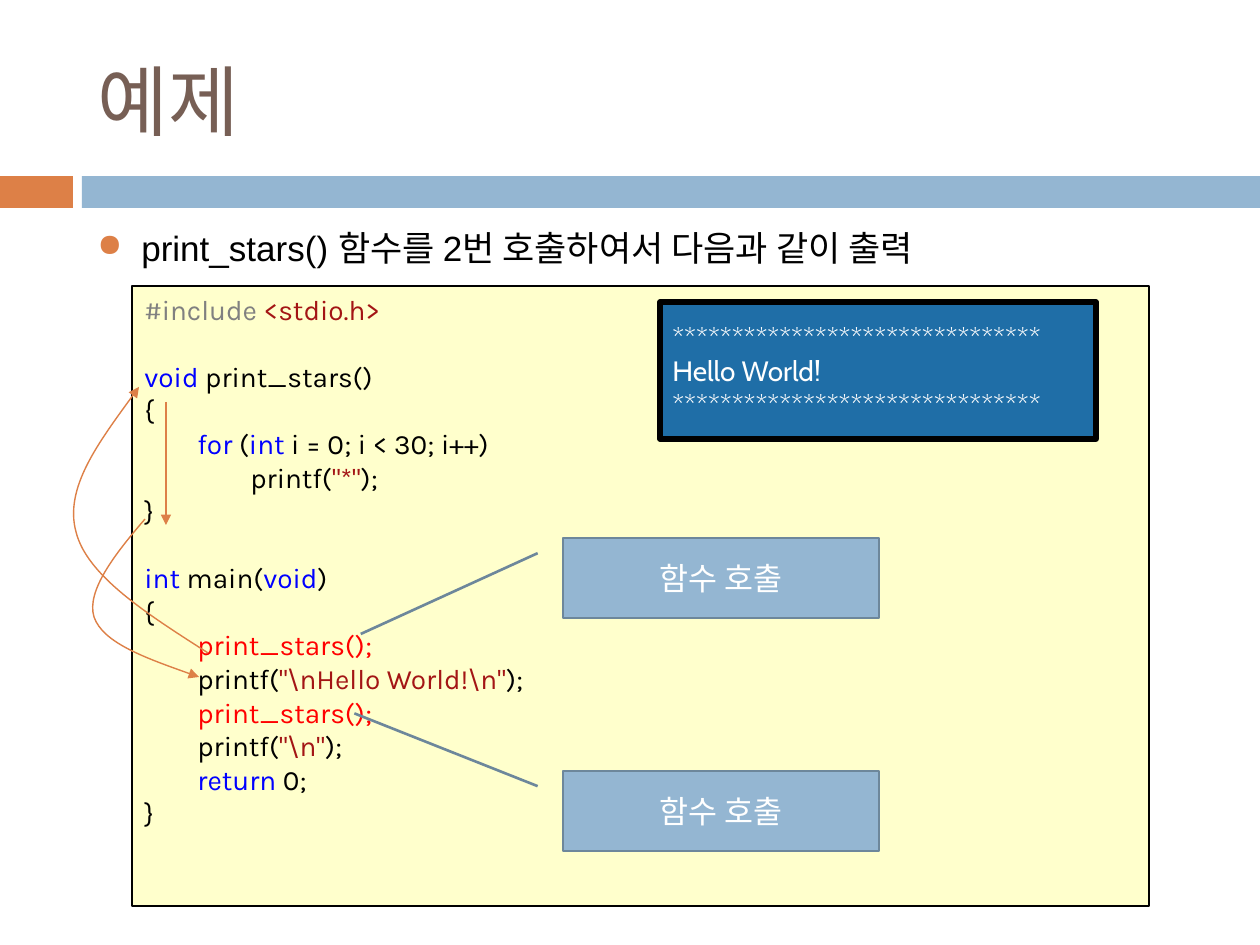
from pptx import Presentation
from pptx.dml.color import RGBColor
from pptx.enum.shapes import MSO_CONNECTOR, MSO_SHAPE
from pptx.enum.text import MSO_ANCHOR, PP_ALIGN
from pptx.oxml.ns import qn
from pptx.util import Emu, Pt
from lxml import etree

RECTANGLE = MSO_SHAPE.RECTANGLE
CALLOUT = MSO_SHAPE.LINE_CALLOUT_1
STRAIGHT = MSO_CONNECTOR.STRAIGHT
TOP, MIDDLE = MSO_ANCHOR.TOP, MSO_ANCHOR.MIDDLE
LEFT, CENTER = PP_ALIGN.LEFT, PP_ALIGN.CENTER

EMU_PER_PX = 914400 / 126
ORANGE, BLUE, WHITE, BLACK = "DD8047", "94B6D2", "FFFFFF", "000000"
GRAY, STRING, KEYWORD, CALL = "808080", "A31515", "0000FF", "FF0000"
INDENT = " " * 8

CODE_LINES = [
    [("#include ", GRAY), ("<stdio.h>", STRING)],
    [],
    [("void ", KEYWORD), ("print_stars()", BLACK)],
    [("{", BLACK)],
    [(INDENT, BLACK), ("for", KEYWORD), (" (", BLACK), ("int", KEYWORD),
     (" i = 0; i < 30; i++)", BLACK)],
    [(INDENT * 2 + "printf(", BLACK), ('"*"', STRING), (");", BLACK)],
    [("}", BLACK)],
    [],
    [("int", KEYWORD), (" main(", BLACK), ("void", KEYWORD), (")", BLACK)],
    [("{", BLACK)],
    [(INDENT + "print_stars();", CALL)],
    [(INDENT + "printf(", BLACK), ('"\\nHello World!\\n"', STRING), (");", BLACK)],
    [(INDENT + "print_stars();", CALL)],
    [(INDENT + "printf(", BLACK), ('"\\n"', STRING), (");", BLACK)],
    [(INDENT, BLACK), ("return", KEYWORD), (" 0;", BLACK)],
    [("}", BLACK)],
]
STARS = "*" * 31
OUTPUT_LINES = [[(text, WHITE)] for text in (STARS, "Hello World!", STARS)]


def px(value):
    return Emu(round(value * EMU_PER_PX))


def color(hex_string):
    return RGBColor.from_string(hex_string)


def write_lines(shape, lines, font_name, size, anchor=TOP, align=LEFT):
    frame = shape.text_frame
    frame.word_wrap = True
    frame.vertical_anchor = anchor
    for index, runs in enumerate(lines):
        paragraph = frame.add_paragraph() if index else frame.paragraphs[0]
        paragraph.alignment = align
        paragraph.font.size = Pt(size)
        paragraph.font.name = font_name
        for text, hex_string in runs:
            run = paragraph.add_run()
            run.text = text
            run.font.size = Pt(size)
            run.font.name = font_name
            run.font.color.rgb = color(hex_string)


def add_box(slide, kind, box, fill, line=None, line_width=1):
    shape = slide.shapes.add_shape(kind, *map(px, box))
    shape.shadow.inherit = False
    shape.fill.solid()
    shape.fill.fore_color.rgb = color(fill)
    if line:
        shape.line.color.rgb = color(line)
        shape.line.width = Pt(line_width)
    else:
        shape.line.fill.background()
    return shape


def style_arrow(shape):
    shape.line.color.rgb = color(ORANGE)
    shape.line.width = Pt(0.79)
    properties = shape.line._get_or_add_ln()
    etree.SubElement(properties, qn("a:tailEnd"), type="triangle")


def add_curved_arrow(slide, start, curves):
    builder = slide.shapes.build_freeform(*map(px, start))
    builder.add_line_segments([tuple(map(px, curve[-1])) for curve in curves], close=False)
    shape = builder.convert_to_shape()
    shape.shadow.inherit = False
    shape.fill.background()
    style_arrow(shape)
    segments = list(shape._element.iter(qn("a:lnTo")))
    for segment, curve in zip(segments, curves):
        segment.tag = qn("a:cubicBezTo")
        segment.clear()
        for x, y in curve:
            etree.SubElement(segment, qn("a:pt"), x=str(px(x) - shape.left),
                             y=str(px(y) - shape.top))


def add_straight_arrow(slide, start, end):
    connector = slide.shapes.add_connector(STRAIGHT, *map(px, (*start, *end)))
    style_arrow(connector)
    etree.SubElement(connector._element.spPr, qn("a:effectLst"))


def add_band(slide, left, top, width, height):
    accent_width, gap = 73, 9
    offset = accent_width + gap
    add_box(slide, RECTANGLE, (left, top, accent_width, height), ORANGE)
    add_box(slide, RECTANGLE, (left + offset, top, width - offset, height), BLUE)


def add_title(slide, left, top, width, height):
    shape = slide.shapes.add_textbox(*map(px, (left, top, width, height)))
    write_lines(shape, [[("예제", "775F55")]], "Cabin", 44, MIDDLE)


def add_task(slide, left, top, width, height):
    shape = slide.shapes.add_textbox(*map(px, (left, top, width, height)))
    properties = shape.text_frame.paragraphs[0]._p.get_or_add_pPr()
    properties.set("marL", str(px(44)))
    properties.set("indent", str(-px(44)))
    bullet_color = etree.SubElement(properties, qn("a:buClr"))
    etree.SubElement(bullet_color, qn("a:srgbClr"), val=ORANGE)
    etree.SubElement(properties, qn("a:buSzPct"), val="90000")
    etree.SubElement(properties, qn("a:buChar"), char="●")
    text = "print_stars() 함수를 2번 호출하여서 다음과 같이 출력"
    write_lines(shape, [[(text, BLACK)]], "Arial", 20)


def add_call_label(slide, box, pointer):
    shape = add_box(slide, CALLOUT, box, BLUE, "6D879B", 1.5)
    for index, value in enumerate(pointer):
        shape.adjustments[index] = value
    write_lines(shape, [[("함수 호출", WHITE)]], "Cabin", 18, MIDDLE, CENTER)


def add_code_panel(slide, left, top, width, height):
    def at(x, y):
        return left + x, top + y

    panel = add_box(slide, RECTANGLE, (left, top, width, height), "FFFFCC", BLACK, 0.75)
    write_lines(panel, CODE_LINES, "Karla", 16)
    for y, pointer_y, pointer_x in ((252, 1.2, -0.64), (485, -0.72, -0.66)):
        add_call_label(slide, (*at(431, y), 316, 80), (0.19, -0.08, pointer_y, pointer_x))
    add_curved_arrow(slide, at(76, 367), [
        (at(15, 328), at(-45, 290), at(-56, 246)),
        (at(-68, 202), at(-30, 152), at(7, 101)),
    ])
    add_straight_arrow(slide, at(34, 116), at(34, 239))
    add_curved_arrow(slide, at(13, 233), [
        (at(-17, 268), at(-46, 305), at(-38, 331)),
        (at(-29, 357), at(19, 374), at(67, 391)),
    ])


def add_output_window(slide, left, top, width, height):
    window = add_box(slide, RECTANGLE, (left, top, width, height), "1F6EA7", BLACK, 3)
    write_lines(window, OUTPUT_LINES, "Cabin", 16, MIDDLE)


def main():
    presentation = Presentation()
    presentation.slide_width = px(1260)
    presentation.slide_height = px(945)
    slide = presentation.slides.add_slide(presentation.slide_layouts[6])
    add_band(slide, 0, 176, 1260, 32)
    add_code_panel(slide, 132, 286, 1017, 620)
    add_title(slide, 85, 32, 1124, 136)
    add_task(slide, 85, 220, 1124, 620)
    add_output_window(slide, 660, 302, 436, 137)
    presentation.save("out.pptx")


if __name__ == "__main__":
    main()
